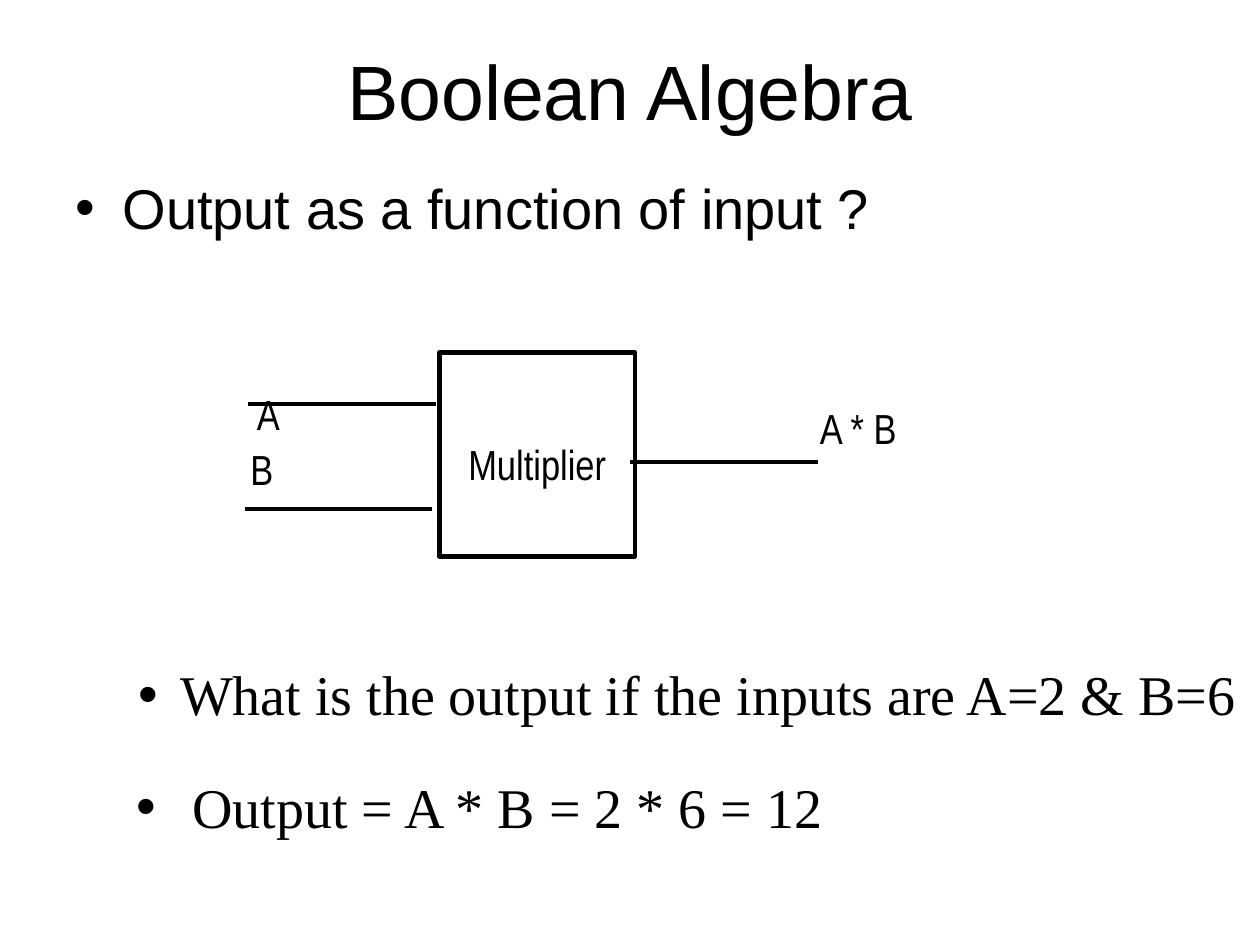
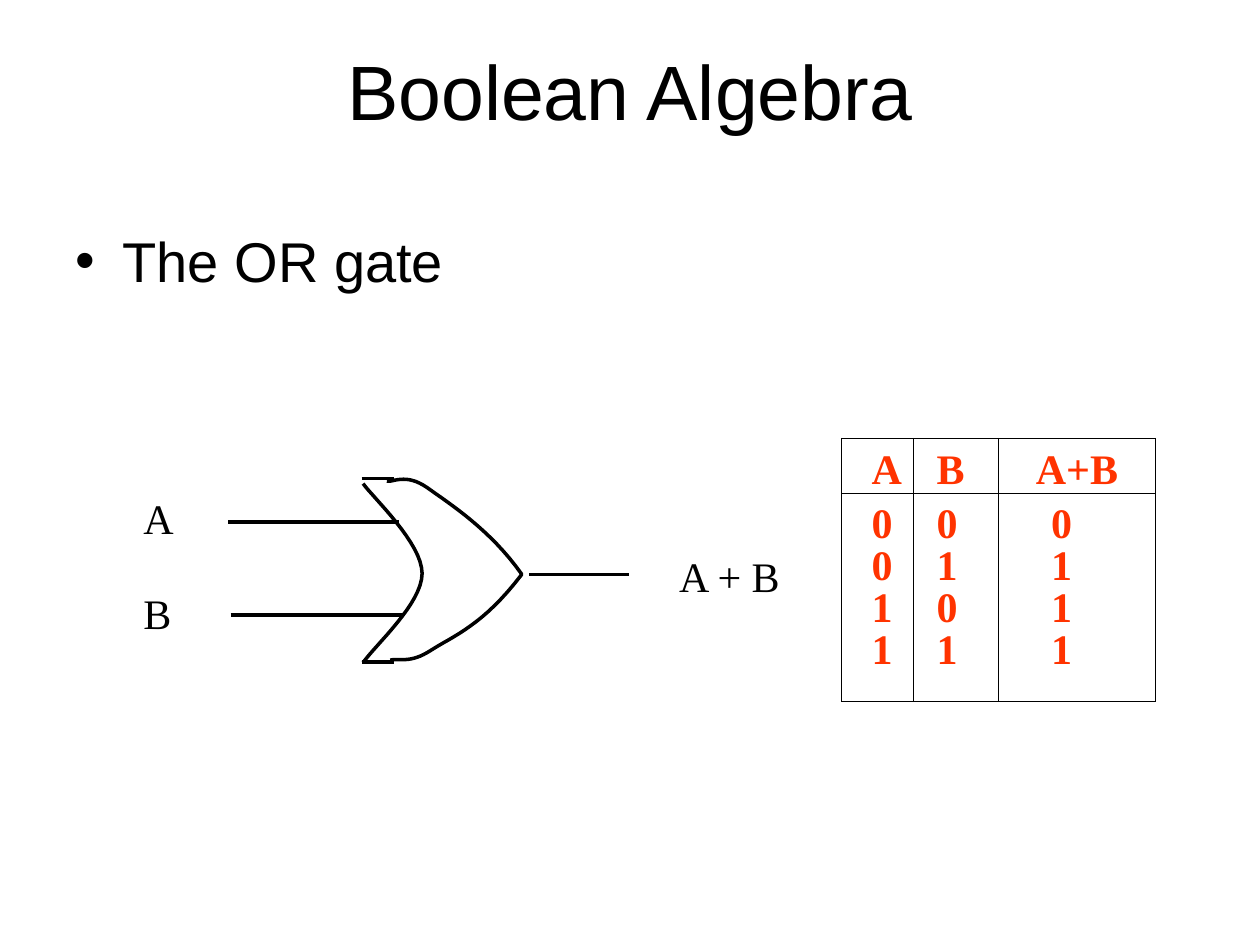
import pptx
import pptx.util
import pptx.dml.color
import pptx.enum.shapes
import pptx.enum.text
import pptx.oxml
import pptx.oxml.ns
from pptx.util import Cm, Pt

# Shared look
BLACK = "000000"
RED = "FF3300"
SANS, NARROW, SERIF = "Arial", "Arial Narrow", "Times New Roman"
ALIGN = pptx.enum.text.PP_ALIGN
ANCHOR = pptx.enum.text.MSO_ANCHOR
BORDER_WIDTH = Pt(0.75)


def color(hex_code):
    return pptx.dml.color.RGBColor.from_string(hex_code)


def child(parent, tag, **attributes):
    """Append a DrawingML element to its parent."""
    element = pptx.oxml.parse_xml(f"<{tag} {pptx.oxml.ns.nsdecls('a')}/>")
    for key, value in attributes.items():
        element.set(key, str(value))
    parent.append(element)
    return element


def style(paragraph, font, size, ink=BLACK, bold=False):
    for run in paragraph.runs:
        run.font.name = font
        run.font.size = Pt(size)
        run.font.bold = bold
        run.font.color.rgb = color(ink)


def outline(shape, width):
    shape.shadow.inherit = False
    shape.fill.background()
    shape.line.color.rgb = color(BLACK)
    shape.line.width = Pt(width)


# Text
def add_text(slide, text, box, font, size, align=ALIGN.LEFT):
    frame = slide.shapes.add_textbox(*map(Cm, box)).text_frame
    frame.word_wrap = True
    frame.text = text
    frame.paragraphs[0].alignment = align
    style(frame.paragraphs[0], font, size)
    return frame.paragraphs[0]


def add_bullet(slide, text, box, font, hanging):
    paragraph = add_text(slide, text, box, font, 32)
    properties = paragraph._p.get_or_add_pPr()
    properties.set("marL", str(Cm(hanging)))
    properties.set("indent", str(-Cm(hanging)))
    child(properties, "a:buFont", typeface=SANS)
    child(properties, "a:buChar", char="•")


def add_titled_slide(deck, title):
    slide = deck.slides.add_slide(deck.slide_layouts[6])
    add_text(slide, title, (1.27, 0.76, 22.86, 2.62), SANS, 44, ALIGN.CENTER)
    return slide


# Drawing
def add_wire(slide, left, right, y, width):
    wire = slide.shapes.add_connector(
        pptx.enum.shapes.MSO_CONNECTOR.STRAIGHT, Cm(left), Cm(y), Cm(right), Cm(y))
    wire.line.color.rgb = color(BLACK)
    wire.line.width = Pt(width)
    child(wire._element.spPr, "a:effectLst")


def add_block(slide, label, box):
    block = slide.shapes.add_shape(
        pptx.enum.shapes.MSO_SHAPE.RECTANGLE, *map(Cm, box))
    outline(block, 2.5)
    frame = block.text_frame
    frame.margin_left = frame.margin_right = frame.margin_bottom = 0
    frame.margin_top = Cm(0.38)
    frame.vertical_anchor = ANCHOR.MIDDLE
    frame.text = label
    frame.paragraphs[0].alignment = ALIGN.CENTER
    style(frame.paragraphs[0], NARROW, 24)


def bezier(p0, p1, p2, p3, t):
    return tuple((1 - t) ** 3 * a + 3 * (1 - t) ** 2 * t * b
                 + 3 * (1 - t) * t ** 2 * c + t ** 3 * d
                 for a, b, c, d in zip(p0, p1, p2, p3))


def add_curve(slide, knots, steps=16):
    """Draw chained cubic curves; neighbours share an end knot."""
    points = [bezier(*knots[i:i + 4], step / steps)
              for i in range(0, len(knots) - 1, 3)
              for step in range(1, steps + 1)]
    builder = slide.shapes.build_freeform(Cm(knots[0][0]), Cm(knots[0][1]))
    builder.add_line_segments([(Cm(x), Cm(y)) for x, y in points], close=False)
    outline(builder.convert_to_shape(), 2)


# Truth table
def set_borders(cell, shown):
    properties = cell._tc.get_or_add_tcPr()
    for side in "LRTB":
        border = child(properties, f"a:ln{side}", w=BORDER_WIDTH)
        if side in shown:
            child(child(border, "a:solidFill"), "a:srgbClr", val=BLACK)
        else:
            child(border, "a:noFill")


def add_truth_table(slide, rows, left, top, widths, heights, indents):
    """Each column's indents are those of its heading and of its digits."""
    table = slide.shapes.add_table(
        len(rows), len(widths), Cm(left), Cm(top),
        Cm(sum(widths)), Cm(sum(heights))).table
    table.first_row = table.horz_banding = False
    for column, width in zip(table.columns, widths):
        column.width = Cm(width)
    last = len(rows) - 1
    for r, (values, height) in enumerate(zip(rows, heights)):
        table.rows[r].height = Cm(height)
        sides = "LR" + {0: "TB", 1: "T", last: "B"}.get(r, "")
        for c, value in enumerate(values):
            cell = table.cell(r, c)
            set_borders(cell, sides)
            cell.fill.background()
            cell.margin_top = cell.margin_bottom = cell.margin_right = 0
            cell.margin_left = Cm(indents[c][min(r, 1)])
            cell.vertical_anchor = ANCHOR.TOP if r == last else ANCHOR.BOTTOM
            cell.text = value
            paragraph = cell.text_frame.paragraphs[0]
            paragraph.line_spacing = Pt(24)
            style(paragraph, SERIF, 24, RED, bold=True)


# Slides
def build_multiplier_slide(deck):
    slide = add_titled_slide(deck, "Boolean Algebra")
    add_bullet(slide, "Output as a function of input ?",
               (1.27, 3.38, 22.86, 13.64), SANS, 0.95)

    add_block(slide, "Multiplier", (8.86, 7.11, 3.94, 4.11))
    for left, right, y in ((5, 8.79, 8.15), (4.93, 8.71, 10.26), (12.7, 16.48, 9.32)):
        add_wire(slide, left, right, y, 2.25)
    for label, left, top, width in (("A", 4.93, 7.7, 0.97), ("B", 4.8, 8.81, 0.97),
                                    ("A * B", 16.28, 7.98, 2.18)):
        add_text(slide, label, (left, top, width, 1.27), NARROW, 24)

    add_bullet(slide, "What is the output if the inputs are A=2 & B=6",
               (2.54, 13.18, 22.86, 1.63), SERIF, 0.84)
    add_bullet(slide, "Output = A * B = 2 * 6 = 12",
               (2.51, 15.44, 19.71, 1.63), SERIF, 1.12)


def build_or_gate_slide(deck):
    slide = add_titled_slide(deck, "Boolean Algebra")
    add_bullet(slide, "The OR gate", (1.27, 4.45, 22.86, 12.57), SANS, 0.95)

    # Gate outline, front then back
    add_curve(slide, [(7.8, 9.7), (7.92, 9.73), (8.18, 9.53), (8.61, 9.83),
                      (9.07, 10.16), (9.88, 10.67), (10.52, 11.58),
                      (9.73, 12.62), (9.12, 12.83), (8.69, 13.11),
                      (8.26, 13.39), (8.05, 13.26), (7.87, 13.31)])
    add_curve(slide, [(7.32, 9.75), (7.52, 10.03), (8.51, 10.95), (8.51, 11.56),
                      (8.51, 12.17), (7.57, 13), (7.32, 13.36)])
    # Gate corners, inputs and output
    for left, right, y in ((7.29, 7.95, 9.65), (7.29, 7.95, 13.34),
                           (4.6, 8.05, 10.52), (4.65, 8.13, 12.4),
                           (10.67, 12.67, 11.58)):
        add_wire(slide, left, right, y, 2)
    for label, left, top in (("A", 2.64, 9.8), ("B", 2.64, 11.71),
                             ("A + B", 13.44, 10.97)):
        add_text(slide, label, (left, top, 3.5, 1.27), SERIF, 24)

    truth = [(str(a), str(b), str(a | b)) for a in (0, 1) for b in (0, 1)]
    add_truth_table(slide, [("A", "B", "A+B")] + truth, 16.97, 8.84,
                    widths=(1.45, 1.7, 3.17),
                    heights=(1.1, 1.09, 0.85, 0.85, 1.42),
                    indents=((0.6, 0.6), (0.46, 0.46), (0.76, 1.07)))


def main():
    deck = pptx.Presentation()
    deck.slide_width, deck.slide_height = Cm(25.4), Cm(19.05)
    build_multiplier_slide(deck)
    build_or_gate_slide(deck)
    deck.save("out.pptx")


if __name__ == "__main__":
    main()
